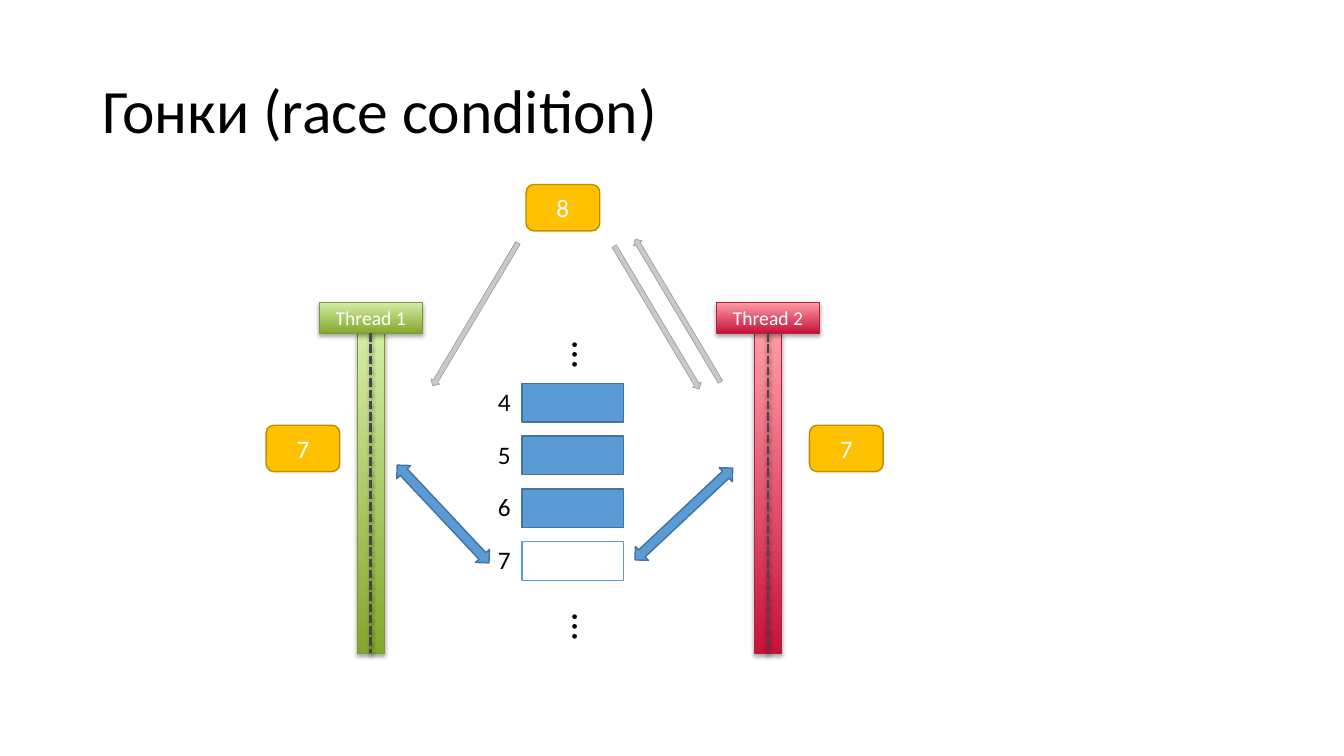
"""Build the race condition slide: two threads sharing one column of cells."""
from lxml.etree import SubElement as Sub
from pptx import Presentation
from pptx.dml.color import RGBColor as RGB
from pptx.enum.dml import MSO_LINE_DASH_STYLE as Dash
from pptx.enum.shapes import MSO_CONNECTOR as Link, MSO_SHAPE as Kind
from pptx.enum.text import MSO_ANCHOR as Anchor, MSO_AUTO_SIZE as Fit, PP_ALIGN as Align
from pptx.oxml.ns import qn
from pptx.util import Pt


class Theme:
    font = "Calibri"
    black, white = "000000", "FFFFFF"
    blue, navy = "5B9BD5", "43739E"
    gold, brown = "FFC000", "BD8E00"
    grey, edge, dash = ("D2D2D2", "C0C0C0"), "A5A5A5", "464547"
    green, moss = ("85A72C", "D3EEA5"), "7D9836"
    red, wine = ("C7123A", "FF9CA5"), "B12343"
    title, dots, label, head = 44, 28, 18, 14


def draw(kind, box, fill, line, width, text="", size=Theme.label, angle=90, turn=0, cast=False):
    """Add a preset shape with fill, outline, centred text and optional shadow."""
    shape = slide.shapes.add_shape(kind, *map(Pt, box))
    shape.rotation = turn
    if isinstance(fill, tuple):
        shape.fill.gradient()
        shape.fill.gradient_angle = angle
        for stop, tone, spot in zip(shape.fill.gradient_stops, fill, (0, 1)):
            stop.color.rgb = RGB.from_string(tone)
            stop.position = spot
    else:
        shape.fill.solid()
        shape.fill.fore_color.rgb = RGB.from_string(fill)
    shape.line.color.rgb = RGB.from_string(line)
    shape.line.width = Pt(width)
    shape.shadow.inherit = False
    if cast:
        shade(shape._element.spPr.find(qn("a:effectLst")), 35, 1.8)
    if text:
        write(shape.text_frame, text, size, Theme.white,
              {"vertical_anchor": Anchor.MIDDLE}, {"alignment": Align.CENTER})
    return shape


def write(frame, text, size, tone, frame_fmt, par_fmt):
    """Put one formatted paragraph into a text frame."""
    frame.text = text
    par = frame.paragraphs[0]
    font_fmt = {"name": Theme.font, "size": Pt(size)}
    for item, fmt in ((frame, frame_fmt), (par, par_fmt), (par.runs[0].font, font_fmt)):
        for key, val in fmt.items():
            setattr(item, key, val)
    par.runs[0].font.color.rgb = RGB.from_string(tone)


shade = lambda effects, alpha, dist: Sub(
    Sub(Sub(effects, qn("a:outerShdw"), blurRad=str(Pt(3.1)), dist=str(Pt(dist)),
            dir="5400000", rotWithShape="0"),
        qn("a:srgbClr"), val=Theme.black),
    qn("a:alpha"), val=str(alpha * 1000))

deck = Presentation()
deck.slide_width, deck.slide_height = Pt(960), Pt(540)
slide = deck.slides.add_slide(deck.slide_layouts[5])

title = slide.shapes.title
for key, val in {"left": 66, "top": 28.8, "width": 828, "height": 104.4}.items():
    setattr(title, key, Pt(val))
write(title.text_frame, "Гонки (race condition)", Theme.title, Theme.black,
      {"vertical_anchor": Anchor.MIDDLE}, {"alignment": Align.LEFT, "line_spacing": 0.9})

threads = (("Thread 1", 264.9, Theme.green, Theme.moss),
           ("Thread 2", 548.6, Theme.red, Theme.wine))
for name, mid, fill, line in threads:
    bar = draw(Kind.RECTANGLE, (mid - 9.8, 237.8, 19.6, 229), fill, line, 0.75, cast=True)
    head = draw(Kind.RECTANGLE, (mid - 36.7, 216, 73.4, 22), fill, line, 0.75,
                name, Theme.head, cast=True)
    life = slide.shapes.add_connector(Link.STRAIGHT, 0, 0, 0, 0)
    life.begin_connect(head, 2)
    life.end_connect(bar, 2)
    life.line.color.rgb = RGB.from_string(Theme.dash)
    life.line.width = Pt(2)
    life.line.dash_style = Dash.SQUARE_DOT
    shade(Sub(life._element.spPr, qn("a:effectLst")), 38, 1.6)

for row, mark in enumerate("4567"):
    top = 273.8 + 37.7 * row
    fill, line = (Theme.white, Theme.blue) if mark == "7" else (Theme.blue, Theme.navy)
    draw(Kind.RECTANGLE, (373, top, 72.4, 27.6), fill, line, 1)
    label = slide.shapes.add_textbox(*map(Pt, (348.5, top - 1.5, 23.8, 29)))
    write(label.text_frame, mark, Theme.label, Theme.black,
          {"word_wrap": False, "auto_size": Fit.SHAPE_TO_FIT_TEXT}, {})

for top in (236.9, 431.3):
    dots = slide.shapes.add_textbox(*map(Pt, (392.4, top, 48.2, 26.6)))
    write(dots.text_frame, "…", Theme.dots, Theme.black,
          {"word_wrap": False, "auto_size": Fit.SHAPE_TO_FIT_TEXT}, {})
    dots.text_frame._txBody.bodyPr.set("vert", "vert")

for left, top, turn in ((280.1, 221, 120.8), (409.7, 223.2, 59.2), (424.8, 218.2, 239.2)):
    draw(Kind.RIGHT_ARROW, (left, top, 118.8, 7.2), Theme.grey, Theme.edge, 0.5,
         angle=270, turn=turn)

for left, top, text in ((190.1, 303.8, "7"), (578.2, 303.8, "7"), (375.8, 131.8, "8")):
    draw(Kind.ROUNDED_RECTANGLE, (left, top, 52.6, 33.1), Theme.gold, Theme.brown, 1, text)

for left, turn in ((440.6, 316.8), (268.6, 226.8)):
    draw(Kind.LEFT_RIGHT_ARROW, (left, 360.3, 95.8, 13.7), Theme.blue, Theme.navy, 1, turn=turn)

deck.save("out.pptx")
